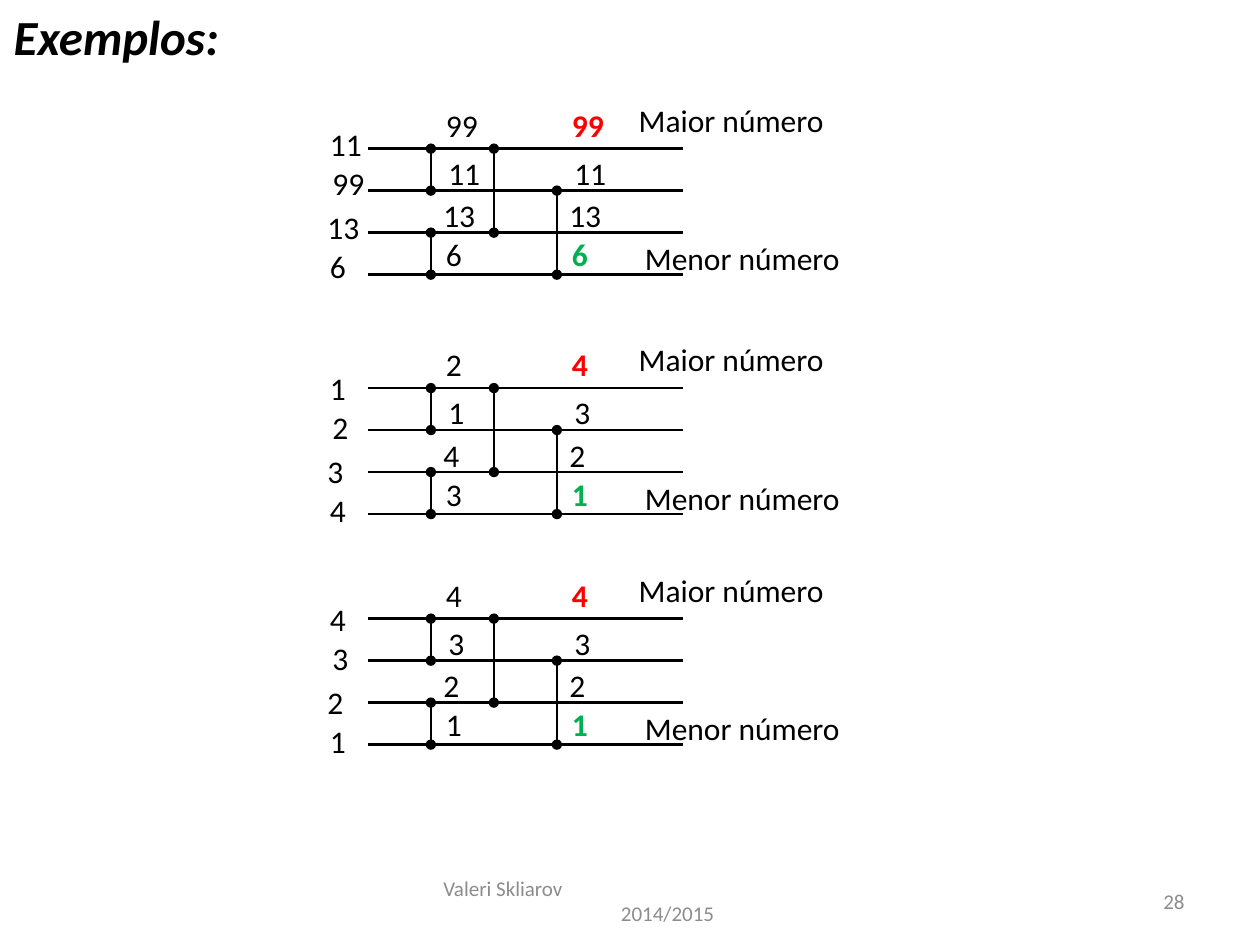
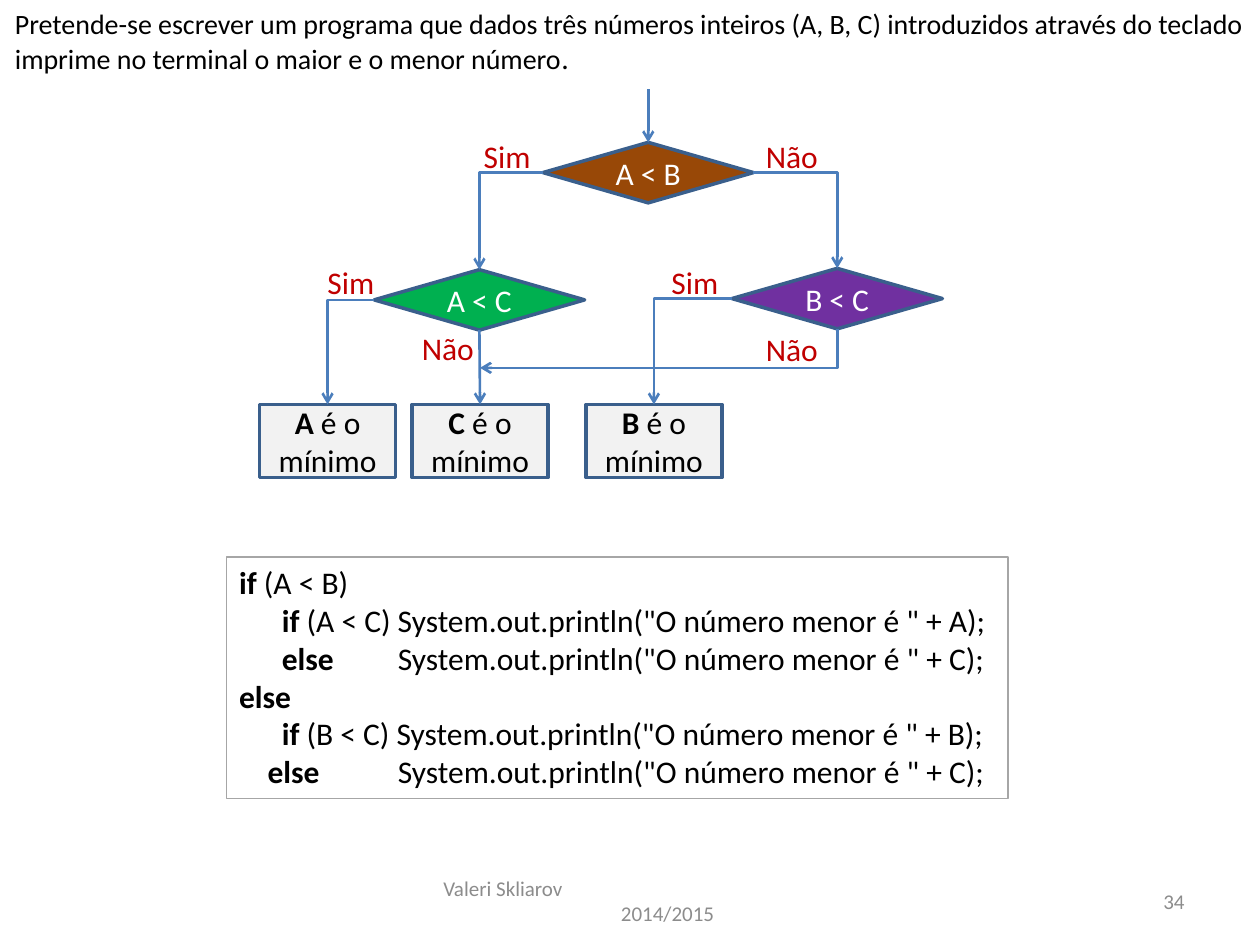
import pptx
import pptx.dml.color
import pptx.enum.shapes
import pptx.enum.text
import pptx.oxml.ns
import pptx.util
from lxml import etree

# The slide is a grid of 20 columns by 15 rows; all positions are in cells.
CELL = 0.5
COLUMNS, ROWS = 20, 15
FONT = "Calibri"
COLORS = {
    "ink": "000000", "footer": "8C8C8C", "largest": "FF0000", "smallest": "00B050",
    "brown": "984807", "green": "00B050", "purple": "7030A0", "white": "FFFFFF",
    "outline": "3A5F8C", "arrow": "4B7EBC", "answer": "C00000", "result": "F2F2F2",
    "frame": "A6A6A6",
}
ALIGN = pptx.enum.text.PP_ALIGN
ANCHOR = pptx.enum.text.MSO_ANCHOR
FIT = pptx.enum.text.MSO_AUTO_SIZE
SHAPE = pptx.enum.shapes.MSO_SHAPE
CONNECTOR = pptx.enum.shapes.MSO_CONNECTOR
qn = pptx.oxml.ns.qn


def cells(*values):
    return [pptx.util.Inches(value * CELL) for value in values]


def color(name):
    return pptx.dml.color.RGBColor.from_string(COLORS[name])


def set_font(font, size, color_name, bold=None, italic=None):
    font.name, font.size = FONT, pptx.util.Pt(size)
    font.color.rgb = color(color_name)
    font.bold, font.italic = bold, italic


def set_line(line, color_name, width):
    line.color.rgb = color(color_name)
    line.width = pptx.util.Pt(width)


def add_bold_parts(paragraph, parts):
    """Fill a paragraph with runs; parts alternate bold and regular text."""
    for index, part in enumerate(parts):
        if part:
            run = paragraph.add_run()
            run.text = part
            run.font.bold = index % 2 == 0


def add_text(slide, box, text, size=18, color_name="ink", bold=None, italic=None,
             align=ALIGN.LEFT, anchor=ANCHOR.TOP, wrap=False):
    shape = slide.shapes.add_textbox(*cells(*box))
    frame = shape.text_frame
    frame.word_wrap, frame.vertical_anchor = wrap, anchor
    frame.auto_size = FIT.NONE if wrap else FIT.SHAPE_TO_FIT_TEXT
    frame.text = text
    for paragraph in frame.paragraphs:
        paragraph.alignment = align
        set_font(paragraph.font, size, color_name, bold, italic)
    return shape


def add_shape(slide, kind, box, fill, text_color):
    shape = slide.shapes.add_shape(kind, *cells(*box))
    shape.shadow.inherit = False
    shape.fill.solid()
    shape.fill.fore_color.rgb = color(fill)
    set_line(shape.line, "outline", 2)
    frame = shape.text_frame
    frame.word_wrap, frame.vertical_anchor = True, ANCHOR.MIDDLE
    paragraph = frame.paragraphs[0]
    paragraph.alignment = ALIGN.CENTER
    set_font(paragraph.font, 18, text_color)
    return shape


def add_line(slide, start, end, color_name, head=None, tail=None, bent=False):
    """Draw a connector; a bent one leaves horizontally and arrives vertically."""
    kind = CONNECTOR.ELBOW if bent else CONNECTOR.STRAIGHT
    connector = slide.shapes.add_connector(kind, *cells(*start, *end))
    set_line(connector.line, color_name, 1.5)
    properties = connector.element.spPr
    if bent:
        properties.find(qn("a:prstGeom")).set("prst", "bentConnector2")
    for tag, ending in (("a:headEnd", head), ("a:tailEnd", tail)):
        if ending:
            etree.SubElement(properties.find(qn("a:ln")), qn(tag), type=ending)
    etree.SubElement(properties, qn("a:effectLst"))
    return connector


def add_footer(slide, number):
    row, height = 13.9, 0.8
    author = add_text(slide, (6.84, row, 6.34, height), "Valeri Skliarov\n2014/2015", 12,
                      "footer", anchor=ANCHOR.MIDDLE, wrap=True)
    year = author.text_frame.paragraphs[1]
    year._p.get_or_add_pPr().set("marL", str(cells(2.82)[0]))
    add_text(slide, (14.34, row, 4.66, height), str(number), 12, "footer",
             align=ALIGN.RIGHT, anchor=ANCHOR.MIDDLE, wrap=True)


def add_network(slide, left, top, inputs, input_top):
    """Draw a sorting network of four wires, with the values after each stage."""
    stages = [[(0, 1), (2, 3)], [(0, 2), (1, 3)]]
    comparators = [(2, 0, 1), (2, 2, 3), (3, 0, 2), (4, 1, 3)]
    wires = [top + 0.86 + index * 2 / 3 for index in range(4)]

    # Wires and comparators
    for wire in wires:
        add_line(slide, (left + 1, wire), (left + 6, wire), "ink")
    for column, upper, lower in comparators:
        add_line(slide, (left + column, wires[upper]), (left + column, wires[lower]),
                 "ink", head="oval", tail="oval")

    # Values: each comparator moves the larger one up
    history = [list(inputs)]
    for stage in stages:
        values = list(history[-1])
        for upper, lower in stage:
            values[upper], values[lower] = (max(values[upper], values[lower]),
                                            min(values[upper], values[lower]))
        history.append(values)
    nudges = (0.04, 0.08, 0, 0.04)
    input_rows = [input_top + step for step in (0, 0.62, 1.32, 1.94)]
    output_rows = (0.08, 0.84, 1.52, 2.14)
    columns = ((0.16, input_rows), (2, output_rows), (4, output_rows))
    for values, (column, rows) in zip(history, columns):
        for index, (value, nudge, row) in enumerate(zip(values, nudges, rows)):
            extreme = {0: "largest", 3: "smallest"}.get(index) if column == 4 else None
            width = 0.4 + 0.26 * len(str(value))
            add_text(slide, (left + column + nudge, top + row, width, 0.8), str(value),
                     color_name=extreme or "ink", bold=bool(extreme))

    # Captions
    add_text(slide, (left + 5.1, top, 3.38, 0.8), "Maior número")
    add_text(slide, (left + 5.2, top + 2.2, 3.54, 0.8), "Menor número")


def add_flowchart(slide, left, top):
    def decision(column, row, text, fill):
        shape = add_shape(slide, SHAPE.FLOWCHART_DECISION,
                          (left + column, top + row, 3.34, 0.96), fill, "white")
        shape.text_frame.paragraphs[0].add_run().text = text
        return shape

    def result(column, letter):
        shape = add_shape(slide, SHAPE.RECTANGLE, (left + column, top + 5, 2.16, 1.16),
                          "result", "ink")
        add_bold_parts(shape.text_frame.paragraphs[0], [letter, " é o mínimo"])
        return shape

    # Decisions and results
    a_or_b = decision(4.5, 0.84, "A < B", "brown")
    a_or_c = decision(1.82, 2.86, "A < C", "green")
    b_or_c = decision(7.5, 2.84, "B < C", "purple")
    a_least, c_least, b_least = result(0, "A"), result(2.42, "C"), result(5.18, "B")

    # Arrows between shapes: source, side it leaves, target entered at the top
    entry = add_line(slide, (left + 6.17, top), (left + 6.17, top + 0.84), "arrow",
                     tail="arrow")
    entry.end_connect(a_or_b, 0)
    for source, side, target in ((a_or_b, 1, a_or_c), (a_or_b, 3, b_or_c),
                                 (a_or_c, 1, a_least), (a_or_c, 2, c_least),
                                 (b_or_c, 1, b_least)):
        arrow = add_line(slide, (left, top), (left, top), "arrow", tail="arrow",
                         bent=side != 2)
        arrow.begin_connect(source, side)
        arrow.end_connect(target, 0)
    add_line(slide, (left + 3.5, top + 4.42), (left + 9.17, top + 3.8), "arrow",
             head="arrow", bent=True)

    # Answers: text, width and places
    answers = (("Sim", 1.16, ((3.36, 0.66), (0.88, 2.66), (6.34, 2.66))),
               ("Não", 1.26, ((7.84, 0.66), (2.38, 3.7), (7.84, 3.72))))
    for text, width, places in answers:
        for column, row in places:
            add_text(slide, (left + column, top + row, width, 0.8), text,
                     color_name="answer")


def add_code(slide, box):
    def output(letter):
        return f'System.out.println("O número menor é " + {letter});'

    lines = [
        ["if", " (A < B)"],
        ["", "      ", "if", " (A < C) " + output("A")],
        ["", "      ", "else", "\t" + output("C")],
        ["else"],
        ["", "      ", "if", " (B < C) " + output("B")],
        ["", "    ", "else", "\t" + output("C")],
    ]
    shape = add_text(slide, box, "")
    set_line(shape.line, "frame", 0.75)
    frame = shape.text_frame
    for index, parts in enumerate(lines):
        paragraph = frame.add_paragraph() if index else frame.paragraphs[0]
        if parts[-1].startswith("\t"):
            tabs = etree.SubElement(paragraph._p.get_or_add_pPr(), qn("a:tabLst"))
            etree.SubElement(tabs, qn("a:tab"), pos=str(cells(2.52)[0]), algn="l")
        set_font(paragraph.font, 18, "ink")
        add_bold_parts(paragraph, parts)


def build_examples(slide):
    add_footer(slide, 28)
    add_text(slide, (0.02, 0, 3.7, 1.14), "Exemplos:", 28, bold=True, italic=True)
    examples = ((1.5, (11, 99, 13, 6), 0.38), (5.3, (1, 2, 3, 4), 0.46),
                (8.96, (4, 3, 2, 1), 0.46))
    for top, inputs, input_top in examples:
        add_network(slide, 4.84, top, inputs, input_top)


def build_minimum(slide):
    add_footer(slide, 34)
    task = add_text(slide, (0.04, 0, 20.1, 1.34),
                    "Pretende-se escrever um programa que dados três números inteiros "
                    "(A, B, C) introduzidos através do teclado imprime no terminal "
                    "o maior e o menor número", 16, wrap=True)
    stop = task.text_frame.paragraphs[0].add_run()
    stop.text = "."
    stop.font.size = pptx.util.Pt(17)
    add_flowchart(slide, 4.12, 1.42)
    add_code(slide, (3.6, 8.84, 12.4, 3.84))


def main():
    presentation = pptx.Presentation()
    presentation.slide_width, presentation.slide_height = cells(COLUMNS, ROWS)
    for build in (build_examples, build_minimum):
        build(presentation.slides.add_slide(presentation.slide_layouts[6]))
    presentation.save("out.pptx")


if __name__ == "__main__":
    main()
